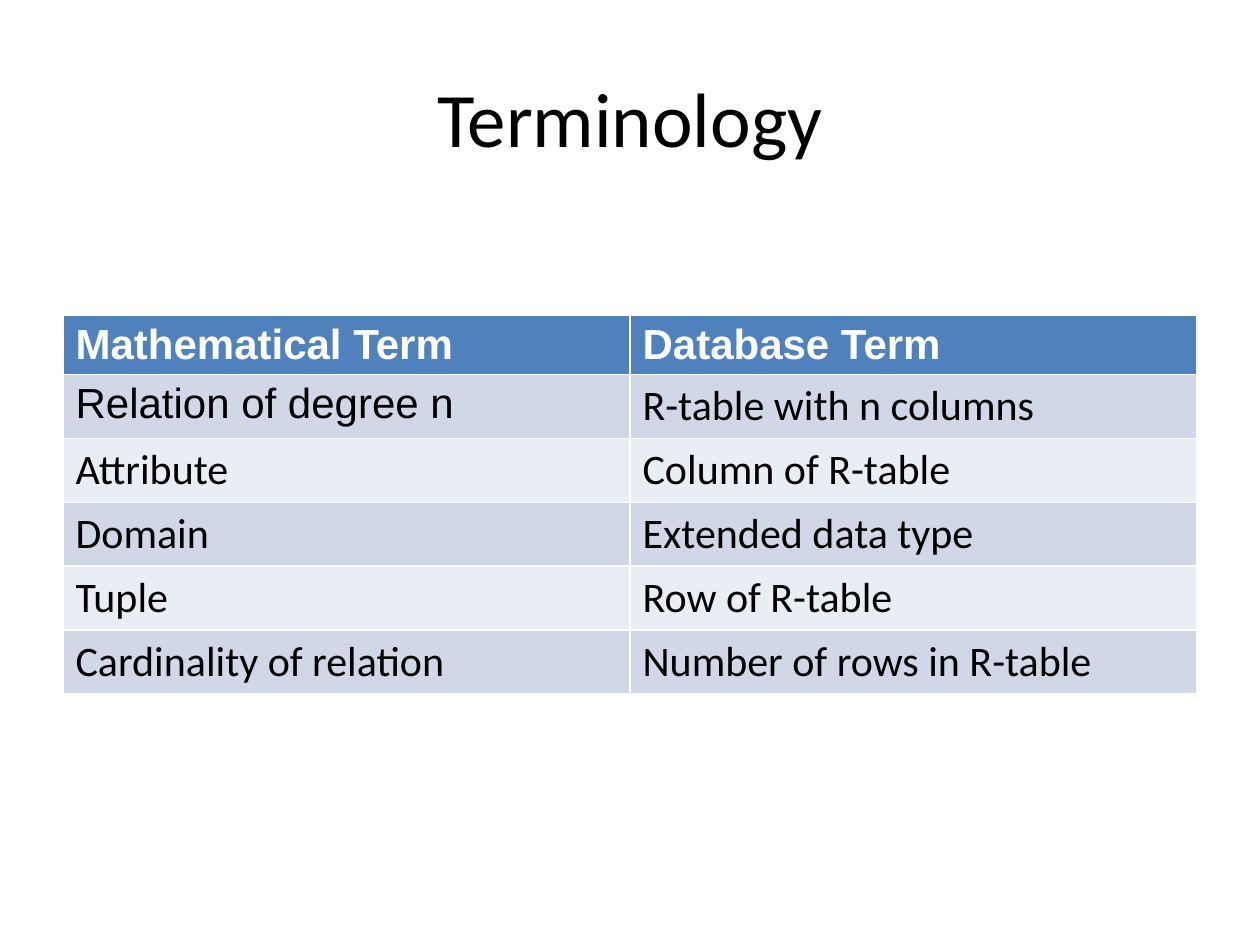
from dataclasses import dataclass

from pptx import Presentation
from pptx.dml.color import RGBColor
from pptx.enum import text
from pptx.util import Inches, Pt


@dataclass(frozen=True)
class Theme:
    """Colours, fonts and type sizes of the slide."""
    ink: str = "000000"
    header_ink: str = "FFFFFF"
    header_fill: str = "4F81BD"
    bands: tuple = ("D0D8E8", "E9EDF4")
    body_font: str = "Calibri"
    accent_font: str = "Arial"
    title_size: int = 44
    table_size: int = 24


THEME = Theme()
TERMS = [
    ("Mathematical Term", "Database Term"),
    ("Relation of degree n", "R-table with n columns"),
    ("Attribute", "Column of R-table"),
    ("Domain", "Extended data type"),
    ("Tuple", "Row of R-table"),
    ("Cardinality of relation", "Number of rows in R-table"),
]
ARIAL_CELLS = {(0, 0), (0, 1), (1, 0)}


def style_runs(p, font, size, color, bold=False):
    """Format every run of a paragraph."""
    for r in p.runs:
        r.font.name = font
        r.font.size = Pt(size)
        r.font.bold = bold
        r.font.color.rgb = RGBColor.from_string(color)


def place_title(s, wording, left, top, width, height):
    """Place and format the title placeholder in the given box."""
    sp = s.shapes.title
    sp.left, sp.top, sp.width, sp.height = left, top, width, height
    tf = sp.text_frame
    tf.text = wording
    tf.vertical_anchor = text.MSO_ANCHOR.MIDDLE
    p = tf.paragraphs[0]
    p.alignment = text.PP_ALIGN.CENTER
    style_runs(p, THEME.body_font, THEME.title_size, THEME.ink)


def add_term_table(s, rows, left, top, width, row_height):
    """Add a header row and banded rows of paired terms."""
    table = s.shapes.add_table(
        len(rows), len(rows[0]), left, top, width, row_height * len(rows)
    ).table
    for i, row in enumerate(rows):
        header = i == 0
        fill = THEME.header_fill if header else THEME.bands[(i - 1) % 2]
        color = THEME.header_ink if header else THEME.ink
        for j, term in enumerate(row):
            cell = table.cell(i, j)
            cell.fill.solid()
            cell.fill.fore_color.rgb = RGBColor.from_string(fill)
            cell.text_frame.text = term
            font = THEME.accent_font if (i, j) in ARIAL_CELLS else THEME.body_font
            style_runs(cell.text_frame.paragraphs[0], font,
                       THEME.table_size, color, header)


def main():
    """Build and save the terminology slide."""
    prs = Presentation()
    prs.slide_width, prs.slide_height = Inches(10), Inches(7.5)
    s = prs.slides.add_slide(prs.slide_layouts[5])
    place_title(s, "Terminology", Inches(0.5), Inches(0.3), Inches(9), Inches(1.25))
    add_term_table(s, TERMS, Inches(0.5), Inches(2.5), Inches(9), Inches(0.41))
    prs.save("out.pptx")


if __name__ == "__main__":
    main()
